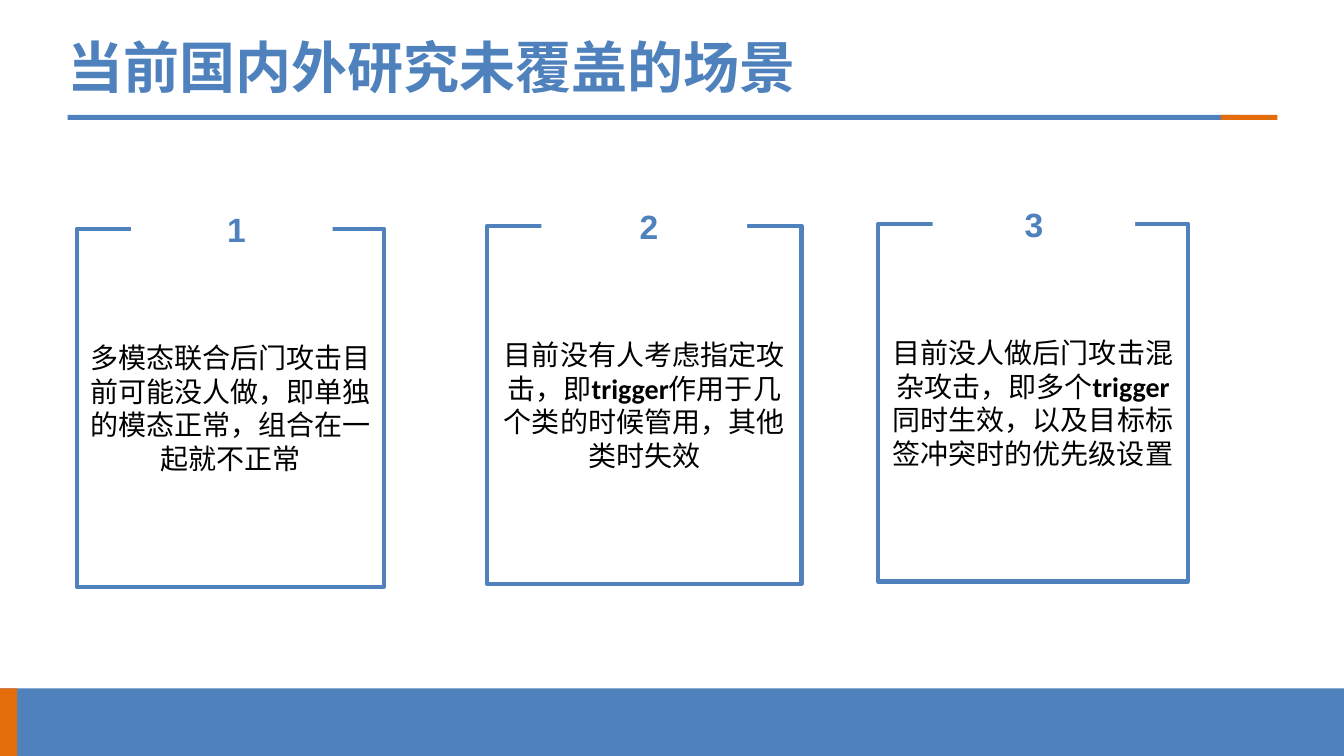
from pptx import Presentation
from pptx.dml.color import RGBColor
from pptx.enum import shapes, text
from pptx.util import Inches, Pt

BLUE = RGBColor(0x4F, 0x81, 0xBD)
ORANGE = RGBColor(0xE4, 0x6C, 0x0A)
WHITE = RGBColor(0xFF, 0xFF, 0xFF)
BLACK = RGBColor(0, 0, 0)


def add_rect(parent, left, top, width, height, fill):
    rect = parent.add_shape(shapes.MSO_SHAPE.RECTANGLE, Inches(left),
                            Inches(top), Inches(width), Inches(height))
    rect.shadow.inherit = False
    rect.fill.solid()
    rect.fill.fore_color.rgb = fill
    rect.line.fill.background()
    return rect


def set_font(font, name, size, color, bold):
    font.name = name
    font.size = Pt(size)
    font.color.rgb = color
    font.bold = bold


prs = Presentation()
prs.slide_width = Inches(13.33)
prs.slide_height = Inches(7.5)
slide = prs.slides.add_slide(prs.slide_layouts[5])

# Title
title = slide.shapes.title
title.left, title.top = Inches(0.67), Inches(0.25)
title.width, title.height = Inches(12), Inches(0.89)
frame = title.text_frame
frame.text = "当前国内外研究未覆盖的场景"
frame.word_wrap = True
frame.vertical_anchor = text.MSO_ANCHOR.MIDDLE
frame.margin_left = frame.margin_right = 0
frame.margin_top = frame.margin_bottom = 0
para = frame.paragraphs[0]
para.alignment = text.PP_ALIGN.LEFT
para.line_spacing = 0.9
set_font(para.runs[0].font, "Arial", 40, BLUE, True)

# Title rule and footer band
rule = slide.shapes.add_group_shape()
add_rect(rule.shapes, 0.67, 1.14, 11.62, 0.05, BLUE)
add_rect(rule.shapes, 12.11, 1.14, 0.56, 0.05, ORANGE)
add_rect(slide.shapes, 0, 6.83, 13.33, 0.67, BLUE)
add_rect(slide.shapes, 0, 6.83, 0.17, 0.67, ORANGE)

# Cards: left, top, width, label width, label, text parts
cards = [
    (0.76, 2.27, 3.05, 2.0, " 1",
     ["多模态联合后门攻击目前可能没人做，即单独的模态正常，组合在一起就不正常"]),
    (4.83, 2.24, 3.12, 2.04, " 2",
     ["目前没有人考虑指定攻击，即", "trigger",
      "作用于几个类的时候管用，其他类时失效"]),
    (8.71, 2.22, 3.07, 2.01, "3",
     ["目前没人做后门攻击混杂攻击，即多个", "trigger",
      "同时生效，以及目标标签冲突时的优先级设置"]),
]
for left, top, width, span, label, parts in cards:
    card = slide.shapes.add_group_shape()
    box = add_rect(card.shapes, left, top, width, 3.55, WHITE)
    box.line.color.rgb = BLUE
    box.line.width = Pt(3)
    frame = box.text_frame
    frame.word_wrap = True
    frame.vertical_anchor = text.MSO_ANCHOR.MIDDLE
    para = frame.paragraphs[0]
    para.alignment = text.PP_ALIGN.CENTER
    for part in parts:
        run = para.add_run()
        run.text = part
        set_font(run.font, "Calibri", 20, BLACK, part == "trigger")

    tab = add_rect(card.shapes, left + 0.54, top - 0.2, span, 0.4, WHITE)
    frame = tab.text_frame
    frame.text = label
    frame.word_wrap = True
    frame.auto_size = text.MSO_AUTO_SIZE.SHAPE_TO_FIT_TEXT
    frame.vertical_anchor = text.MSO_ANCHOR.TOP
    frame.margin_left = frame.margin_right = 0
    frame.margin_top = frame.margin_bottom = 0
    para = frame.paragraphs[0]
    para.alignment = text.PP_ALIGN.CENTER
    set_font(para.runs[0].font, "Arial", 24, BLUE, True)

prs.save("out.pptx")
